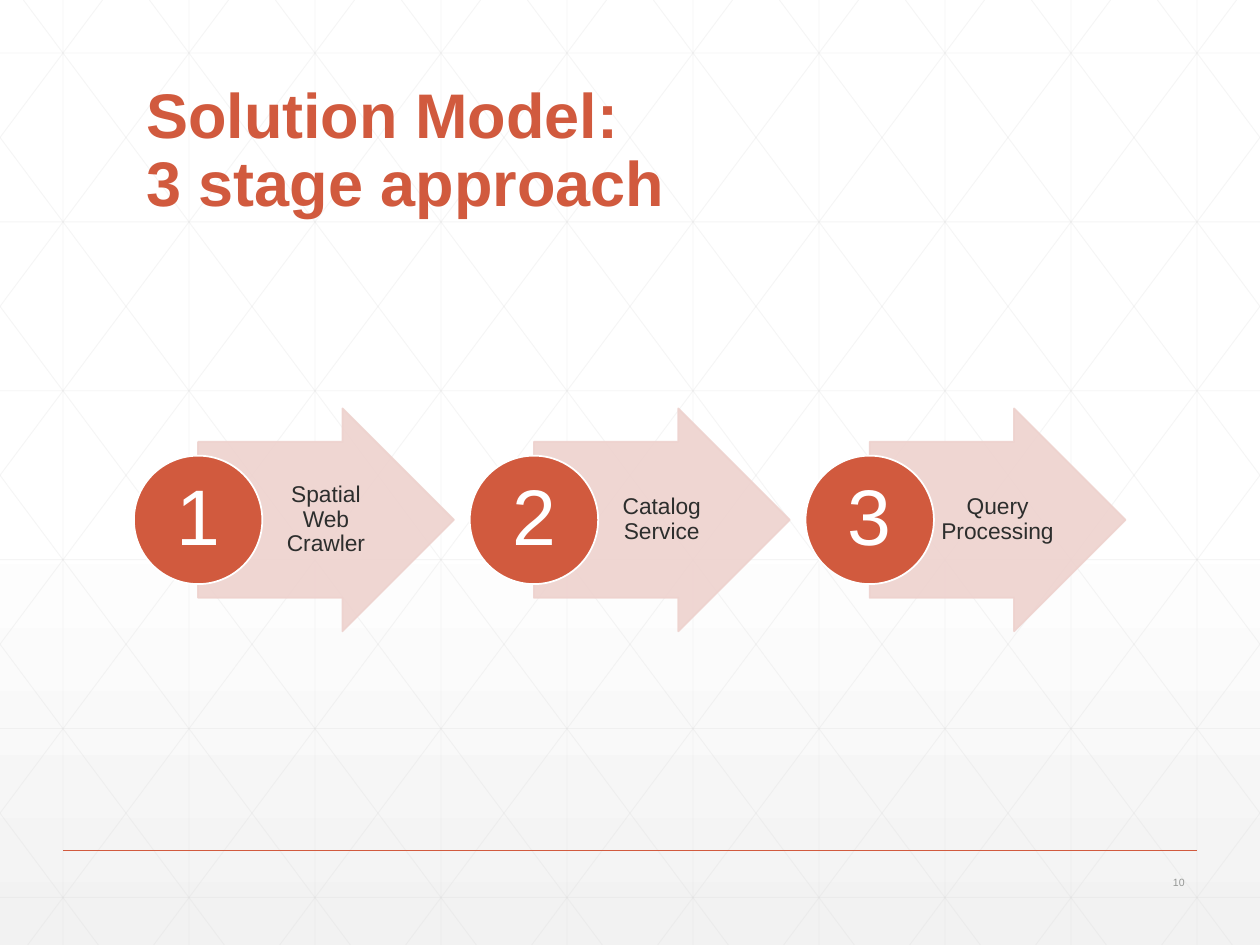
from copy import deepcopy
from lxml.etree import SubElement
from pptx import Presentation
from pptx.dml.color import RGBColor as Rgb
from pptx.enum.shapes import MSO_CONNECTOR as Connector, MSO_SHAPE as Shape
from pptx.enum.text import MSO_ANCHOR as Anchor, PP_ALIGN as Align
from pptx.oxml.ns import qn
from pptx.util import Pt

# Content
TITLE = "Solution Model:\v3 stage approach"
STAGES = ["Spatial Web Crawler", "Catalog Service", "Query Processing"]
PAGE_NUMBER = "10"

THEME = {
    "font": "Arial",
    "accent": "D15A3E", "pale": "EED2CE", "text": "2D2E2D", "white": "FFFFFF",
    "muted": "959795", "grid": "D9D9D9", "shade": "F2F2F2",
    "title_size": 36, "label_size": 13, "number_size": 45, "page_size": 6,
}

# Layout, in points
WIDTH, HEIGHT = 720, 540
GRID_STEP = 72
ROW_TOP, ROW_STEP = 30.3, 96.5
DIAGONAL_START, DIAGONAL_RUN = 13.4, 402.8
STAGE_LEFT, STAGE_STEP, STAGE_MIDDLE = 113.2, 191.9, 297.1
ARROW_SIZE, LABEL_SIZE = (146.2, 127.4), (71.3, 89.3)
LABEL_OFFSET, CIRCLE, NUMBER = 36.6, 73.4, 51.8


def color(name):
    return Rgb.from_string(THEME[name])


def fade(element, percent):
    for shade in element.iter(qn("a:srgbClr")):
        SubElement(shade, qn("a:alpha"), val=str(percent * 1000))


def add_line(page, start, end, name, weight, opacity=100):
    line = page.shapes.add_connector(
        Connector.STRAIGHT, *(Pt(value) for value in (*start, *end)))
    line.line.color.rgb = color(name)
    line.line.width = Pt(weight)
    SubElement(line.element.spPr, qn("a:effectLst"))
    if opacity < 100:
        fade(line.element.spPr, opacity)


def add_shape(page, kind, left, size, name, outline):
    width, height = size
    shape = page.shapes.add_shape(
        kind, Pt(left), Pt(STAGE_MIDDLE - height / 2), Pt(width), Pt(height))
    shape.shadow.inherit = False
    shape.fill.solid()
    shape.fill.fore_color.rgb = color(name)
    shape.line.color.rgb = color(outline)
    shape.line.width = Pt(1)
    return shape


def add_text(page, text, place, size, name, align=Align.LEFT, anchor=Anchor.MIDDLE,
             insets=(7.2, 3.6, 7.2, 3.6), spacing=0.9, bold=False):
    box = page.shapes.add_textbox(*(Pt(value) for value in place))
    frame = box.text_frame
    frame.word_wrap = True
    frame.vertical_anchor = anchor
    (frame.margin_left, frame.margin_top,
     frame.margin_right, frame.margin_bottom) = (Pt(value) for value in insets)
    frame.text = text
    para = frame.paragraphs[0]
    para.alignment = align
    para.line_spacing = spacing
    for span in para.runs:
        span.font.name = THEME["font"]
        span.font.size = Pt(THEME[size])
        span.font.bold = bold
        span.font.color.rgb = color(name)


def paint_background(page):
    fill = page.background.fill
    fill.gradient()
    fill.gradient_angle = 270
    stop_list = page.element.find(".//" + qn("a:gsLst"))
    stop_list.insert(0, deepcopy(stop_list[0]))
    stops = zip(fill.gradient_stops, (0, 0.53, 1), ("white", "white", "shade"))
    for stop, position, name in stops:
        stop.position = position
        stop.color.rgb = color(name)
    fade(stop_list[-1], 65)


def draw_grid(page):
    lines = [((x, 0), (x, HEIGHT)) for x in range(36, WIDTH, GRID_STEP)]
    for row in range(6):
        y = ROW_TOP + row * ROW_STEP
        lines.append(((0, y), (WIDTH, y)))
    # Diagonals are clipped to the page, then mirrored
    slope = HEIGHT / DIAGONAL_RUN
    for index in range(-5, 10):
        x = DIAGONAL_START + index * GRID_STEP
        start = (max(x, 0), max(-x, 0) * slope)
        end_x = min(x + DIAGONAL_RUN, WIDTH)
        end = (end_x, (end_x - x) * slope)
        lines.append((start, end))
        lines.append(((WIDTH - start[0], start[1]), (WIDTH - end[0], end[1])))
    for start, end in lines:
        add_line(page, start, end, "grid", 0.5, 25)


def draw_stage(page, index, label):
    left = STAGE_LEFT + index * STAGE_STEP
    arrow = add_shape(page, Shape.RIGHT_ARROW, left, ARROW_SIZE, "pale", "pale")
    arrow.adjustments[0], arrow.adjustments[1] = 0.7, 0.5
    fade(arrow.element.spPr, 90)
    width, height = LABEL_SIZE
    add_text(page, label, (left + LABEL_OFFSET, STAGE_MIDDLE - height / 2, width, height),
             "label_size", "text", Align.CENTER, insets=(2.9, 0.7, 1.4, 0.7))
    add_shape(page, Shape.OVAL, left - CIRCLE / 2, (CIRCLE, CIRCLE), "accent", "white")
    add_text(page, str(index + 1),
             (left - NUMBER / 2, STAGE_MIDDLE - NUMBER / 2, NUMBER, NUMBER),
             "number_size", "white", Align.CENTER, insets=(2.2,) * 4)


def main():
    deck = Presentation()
    deck.slide_width, deck.slide_height = Pt(WIDTH), Pt(HEIGHT)
    page = deck.slides.add_slide(deck.slide_layouts[6])

    # Backdrop and footer rule
    paint_background(page)
    draw_grid(page)
    add_line(page, (36, 486), (684, 486), "accent", 1)

    # Title, stages and page number
    add_text(page, TITLE, (76.5, 39.6, 567, 90), "title_size", "accent",
             anchor=Anchor.BOTTOM, bold=True)
    for index, label in enumerate(STAGES):
        draw_stage(page, index, label)
    add_text(page, PAGE_NUMBER, (630, 495.5, 54, 17.3), "page_size", "muted",
             Align.RIGHT, spacing=1.0)
    deck.save("out.pptx")


if __name__ == "__main__":
    main()
